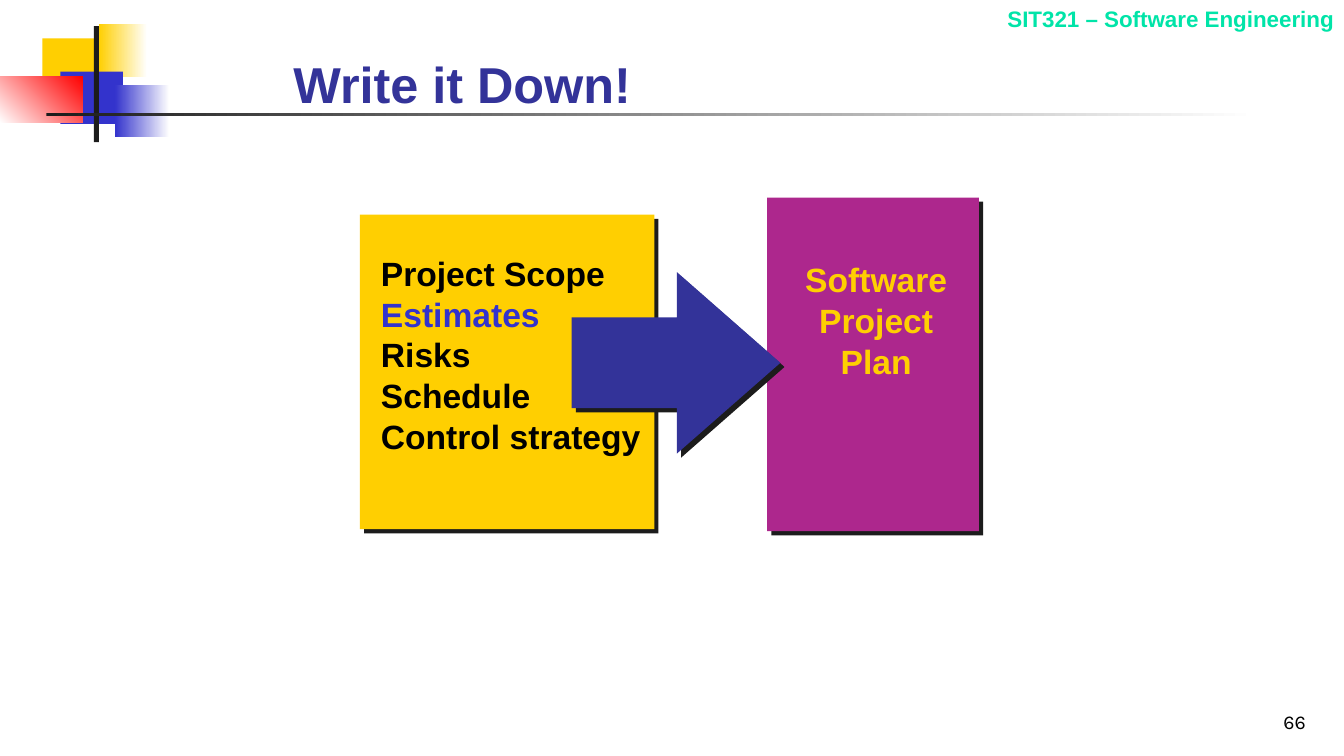
from lxml import etree
from pptx import Presentation
from pptx.dml.color import RGBColor
from pptx.enum.shapes import MSO_SHAPE
from pptx.enum.text import MSO_ANCHOR, PP_ALIGN
from pptx.oxml.ns import qn
from pptx.util import Inches, Pt

RECTANGLE, RIGHT_ARROW = MSO_SHAPE.RECTANGLE, MSO_SHAPE.RIGHT_ARROW
LEFT, CENTER, RIGHT = PP_ALIGN.LEFT, PP_ALIGN.CENTER, PP_ALIGN.RIGHT
TOP, BOTTOM = MSO_ANCHOR.TOP, MSO_ANCHOR.BOTTOM

WHITE = RGBColor(0xFF, 0xFF, 0xFF)
BLACK = RGBColor(0x00, 0x00, 0x00)
CHARCOAL = RGBColor(0x1C, 0x1C, 0x1C)
YELLOW = RGBColor(0xFF, 0xCF, 0x01)
BLUE = RGBColor(0x33, 0x33, 0xCC)
NAVY = RGBColor(0x33, 0x33, 0x99)
RED = RGBColor(0xFF, 0x00, 0x00)
PURPLE = RGBColor(0xAD, 0x27, 0x8D)
MINT = RGBColor(0x00, 0xE4, 0xA8)

COURSE = "SIT321 – Software Engineering"
TITLE = "Write it Down!"
PAGE_NUMBER = "66"
INPUTS = [("Project Scope", BLACK), ("Estimates", BLUE), ("Risks", BLACK),
          ("Schedule", BLACK), ("Control strategy", BLACK)]
RESULT = [(word, YELLOW) for word in ("Software", "Project", "Plan")]

ORNAMENTS = [
    ((0.42, 0.38, 0.64, 0.52), (YELLOW,), 0),
    ((0.98, 0.24, 0.48, 0.52), (YELLOW, WHITE), 0),
    ((0.6, 0.71, 0.62, 0.52), (BLUE,), 0),
    ((1.14, 0.84, 0.54, 0.52), (BLUE, WHITE), 0),
    ((0, 0.76, 0.82, 0.46), (WHITE, RED), 45),
    ((0.93, 0.26, 0.05, 1.15), (CHARCOAL,), 0),
    ((0.46, 1.12, 12, 0.03), (CHARCOAL, WHITE), 0),
]


def add_block(page, area, colors, angle=0, kind=RECTANGLE, shadow=False):
    block = page.shapes.add_shape(kind, *map(Inches, area))
    block.line.fill.background()
    block.shadow.inherit = False
    if len(colors) == 1:
        block.fill.solid()
        block.fill.fore_color.rgb = colors[0]
    else:
        block.fill.gradient()
        block.fill.gradient_angle = angle
        for position, (stop, color) in enumerate(zip(block.fill.gradient_stops, colors)):
            stop.position = position
            stop.color.rgb = color
    if shadow:
        effects = block._element.spPr.find(qn("a:effectLst"))
        outer = etree.SubElement(effects, qn("a:outerShdw"), blurRad="0",
                                 dist=str(Pt(4.2)), dir="2700000",
                                 algn="ctr", rotWithShape="0")
        etree.SubElement(outer, qn("a:srgbClr"), val=str(CHARCOAL))
    return block


def write_text(box, lines, size, font="Arial", bold=True, align=LEFT,
               anchor=TOP, wrap=True, spacing=None):
    frame = box.text_frame
    frame.word_wrap = wrap
    frame.vertical_anchor = anchor
    for index, (text, color) in enumerate(lines):
        para = frame.add_paragraph() if index else frame.paragraphs[0]
        para.alignment = align
        if spacing:
            para.line_spacing = spacing
        span = para.add_run()
        span.text = text
        span.font.name = font
        span.font.size = Pt(size)
        span.font.bold = bold
        span.font.color.rgb = color


def add_text(page, area, lines, size, **style):
    write_text(page.shapes.add_textbox(*map(Inches, area)), lines, size, **style)


def main():
    deck = Presentation()
    deck.slide_width, deck.slide_height = Inches(13.33), Inches(7.5)
    page = deck.slides.add_slide(deck.slide_layouts[5])

    for area, colors, angle in ORNAMENTS:
        add_block(page, area, colors, angle)
    add_text(page, (8.03, 0, 5.3, 0.37), [(COURSE, MINT)], 16, align=RIGHT)
    add_text(page, (10.27, 6.83, 2.78, 0.5), [(PAGE_NUMBER, BLACK)], 14,
             font="Karla", bold=False, align=RIGHT, anchor=BOTTOM)

    title = page.shapes.title
    title.left, title.top, title.width, title.height = map(Inches, (2.81, 0.5, 4.09, 0.68))
    write_text(title, [(TITLE, NAVY)], 36, anchor=BOTTOM)

    add_block(page, (7.61, 1.96, 2.1, 3.31), (PURPLE,), shadow=True)
    add_text(page, (7.88, 2.52, 1.62, 1.31), RESULT, 24,
             align=CENTER, wrap=False, spacing=Pt(29))
    add_block(page, (3.57, 2.13, 2.92, 3.12), (YELLOW,), shadow=True)
    add_text(page, (3.68, 2.46, 2.8, 2.12), INPUTS, 24, wrap=False, spacing=Pt(29))
    arrow = add_block(page, (5.67, 2.7, 2.07, 1.8), (NAVY,), kind=RIGHT_ARROW, shadow=True)
    arrow.adjustments[0] = 0.5
    arrow.adjustments[1] = 0.57

    deck.save("out.pptx")


if __name__ == "__main__":
    main()
